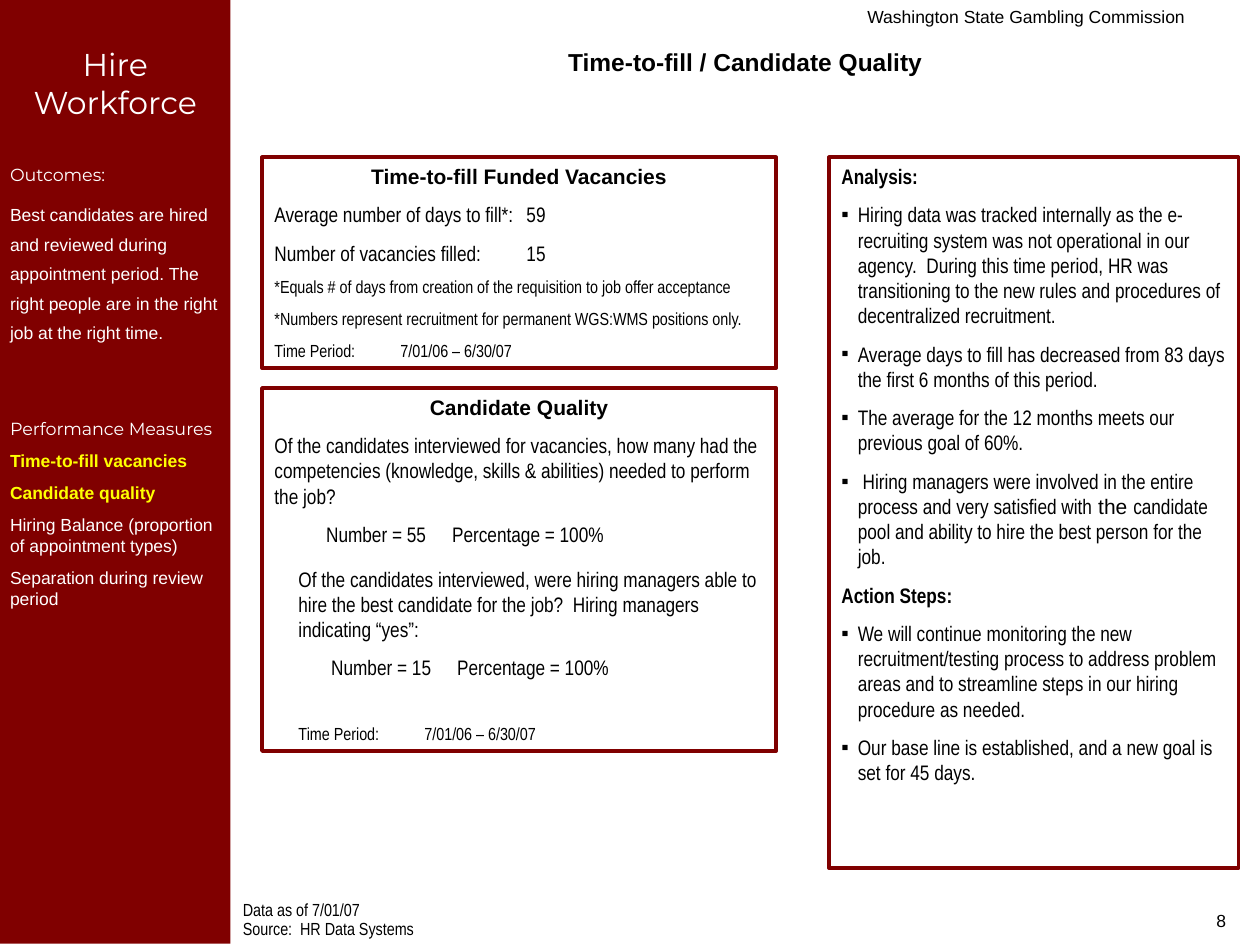
from lxml import etree
from pptx import Presentation
from pptx.dml.color import RGBColor
from pptx.enum.shapes import MSO_SHAPE as SHAPE
from pptx.enum.text import MSO_ANCHOR as ANCHOR, MSO_AUTO_SIZE as AUTO_SIZE, PP_ALIGN as ALIGN
from pptx.oxml.ns import qn
from pptx.util import Inches, Pt

MAROON = RGBColor(0x80, 0x00, 0x00)
YELLOW = RGBColor(0xFF, 0xFF, 0x00)
WHITE = RGBColor(0xFF, 0xFF, 0xFF)
BLACK = RGBColor(0x00, 0x00, 0x00)

# Text styles
HEADING = dict(font="Arial", bold=True, align=ALIGN.CENTER)
BODY = dict(font="Arial Narrow", before=7.5)
NOTE = dict(font="Arial Narrow", size=10, before=6.2)
BULLET = BODY | dict(bullet="▪", margin=0.13, hanging=0.13)
SUBHEAD = BODY | dict(bold=True)
SMALL = dict(font="Arial", size=10)
SIDE = SMALL | dict(color=WHITE, before=6.2)
SIDE_HEAD = SIDE | dict(font="Montserrat")
CURRENT = SIDE | dict(color=YELLOW, bold=True)


def add_marks(paragraph, bullet, tab):
    """Add the bullet and the tab stop, in schema order."""
    properties = paragraph._p.get_or_add_pPr()
    if bullet:
        bullet_color = etree.SubElement(properties, qn("a:buClr"))
        etree.SubElement(bullet_color, qn("a:srgbClr"), val=str(BLACK))
        etree.SubElement(properties, qn("a:buFont"), typeface="Arial")
        etree.SubElement(properties, qn("a:buChar"), char=bullet)
    if tab:
        position, side = tab
        stops = etree.SubElement(properties, qn("a:tabLst"))
        etree.SubElement(stops, qn("a:tab"), pos=str(Inches(position)), algn=side)


def write_paragraph(paragraph, text, font="Arial", size=12, color=BLACK, bold=False,
                    align=ALIGN.LEFT, before=0, spacing=None, margin=0, hanging=0,
                    bullet=None, tab=None):
    """Text is one string, or a list of (string, font name) pieces."""
    add_marks(paragraph, bullet, tab)
    properties = paragraph._p.get_or_add_pPr()
    properties.set("marL", str(Inches(margin)))
    properties.set("indent", str(Inches(-hanging)))
    layout = dict(alignment=align, space_before=Pt(before), line_spacing=spacing)
    for name, value in layout.items():
        setattr(paragraph, name, value)
    pieces = [(text, font)] if isinstance(text, str) else text
    for words, typeface in pieces:
        run = paragraph.add_run()
        run.text = words
        for name, value in dict(name=typeface, size=Pt(size), bold=bold).items():
            setattr(run.font, name, value)
        run.font.color.rgb = color


def write_text(shape, lines, side=0.1, top=0.05):
    frame = shape.text_frame
    settings = dict(word_wrap=True, auto_size=AUTO_SIZE.NONE, vertical_anchor=ANCHOR.TOP,
                    margin_left=Inches(side), margin_right=Inches(side),
                    margin_top=Inches(top), margin_bottom=Inches(0.05))
    for name, value in settings.items():
        setattr(frame, name, value)
    for index, (text, style) in enumerate(lines):
        paragraph = frame.add_paragraph() if index else frame.paragraphs[0]
        write_paragraph(paragraph, text, **(style if index else style | dict(before=0)))


def add_label(slide, box, lines):
    write_text(slide.shapes.add_textbox(*map(Inches, box)), lines)


def add_panel(slide, box, lines):
    """White panel with a maroon frame."""
    panel = slide.shapes.add_shape(SHAPE.RECTANGLE, *map(Inches, box))
    panel.shadow.inherit = False
    panel.fill.background()
    panel.line.color.rgb = MAROON
    panel.line.width = Pt(2.25)
    write_text(panel, lines)


def add_sidebar(slide, box):
    sidebar = slide.shapes.add_shape(SHAPE.RECTANGLE, *map(Inches, box))
    sidebar.shadow.inherit = False
    sidebar.fill.solid()
    sidebar.fill.fore_color.rgb = MAROON
    sidebar.line.fill.background()
    write_text(sidebar, [
        ("Hire Workforce", SIDE_HEAD | dict(size=18, align=ALIGN.CENTER)),
        ("Outcomes:", SIDE_HEAD | dict(before=24.6)),
        ("Best candidates are hired and reviewed during appointment period. "
         "The right people are in the right job at the right time.", SIDE | dict(spacing=1.4)),
        ("Performance Measures", SIDE_HEAD | dict(before=43)),
        ("Time-to-fill vacancies", CURRENT),
        ("Candidate quality", CURRENT),
        ("Hiring Balance (proportion of appointment types)", SIDE),
        ("Separation during review period", SIDE),
    ], side=0.08, top=0.36)


def add_title(slide, box):
    title = slide.shapes.title
    for name, value in zip(("left", "top", "width", "height"), box):
        setattr(title, name, Inches(value))
    write_text(title, [("Time-to-fill / Candidate Quality", HEADING | dict(size=14))])


def add_time_to_fill(slide, box):
    figure = BODY | dict(tab=(3.38, "r"))
    add_panel(slide, box, [
        ("Time-to-fill Funded Vacancies", HEADING),
        ("Average number of days to fill*:\t59", figure),
        ("Number of vacancies filled:\t15", figure),
        ("*Equals # of days from creation of the requisition to job offer acceptance", NOTE),
        ("*Numbers represent recruitment for permanent WGS:WMS positions only.", NOTE),
        ("Time Period:\t7/01/06 – 6/30/07", NOTE | dict(tab=(0.73, "l"))),
    ])


def add_candidate_quality(slide, box):
    add_panel(slide, box, [
        ("Candidate Quality", HEADING),
        ("Of the candidates interviewed for vacancies, how many had the competencies "
         "(knowledge, skills & abilities) needed to perform the job?", BODY),
        ("Number = 55\tPercentage = 100%", BODY | dict(margin=0.41, tab=(1.32, "l"))),
        ("Of the candidates interviewed, were hiring managers able to hire the best "
         "candidate for the job?  Hiring managers indicating “yes”:",
         BODY | dict(margin=0.19, before=11.2)),
        ("Number = 15\tPercentage = 100%", BODY | dict(margin=0.45, tab=(1.4, "l"))),
        ("Time Period:\t7/01/06 – 6/30/07",
         NOTE | dict(margin=0.19, before=24.4, tab=(0.92, "l"))),
    ])


def add_analysis(slide, box):
    add_panel(slide, box, [
        ("Analysis:", SUBHEAD),
        ("Hiring data was tracked internally as the e-recruiting system was not operational "
         "in our agency.  During this time period, HR was transitioning to the new rules and "
         "procedures of decentralized recruitment.", BULLET),
        ("Average days to fill has decreased from 83 days the first 6 months of this period.",
         BULLET),
        ("The average for the 12 months meets our previous goal of 60%.", BULLET),
        ([(" Hiring managers were involved in the entire process and very satisfied with",
           "Arial Narrow"),
          (" the ", "Arial"),
          ("candidate pool and ability to hire the best person for the job.", "Arial Narrow")],
         BULLET),
        ("Action Steps:", SUBHEAD),
        ("We will continue monitoring the new recruitment/testing process to address problem "
         "areas and to streamline steps in our hiring procedure as needed.", BULLET),
        ("Our base line is established, and a new goal is set for 45 days.", BULLET),
    ])


def add_margins(slide):
    """Agency name, data source and page number."""
    source = NOTE | dict(spacing=0.7, before=2.5)
    right = SMALL | dict(align=ALIGN.RIGHT)
    add_label(slide, (4.5, 0, 5, 0.25), [("Washington State Gambling Commission", right)])
    add_label(slide, (1.83, 7.13, 4.83, 0.37),
              [("Data as of 7/01/07", source), ("Source:  HR Data Systems", source)])
    add_label(slide, (7.5, 7.17, 2.33, 0.33), [("8", right)])


def main():
    deck = Presentation()
    deck.slide_width, deck.slide_height = Inches(10), Inches(7.5)
    slide = deck.slides.add_slide(deck.slide_layouts[5])
    add_sidebar(slide, (0, 0, 1.83, 7.49))
    add_title(slide, (1.83, 0.32, 8.17, 0.34))
    add_time_to_fill(slide, (2.08, 1.25, 4.08, 1.67))
    add_candidate_quality(slide, (2.08, 3.08, 4.08, 2.88))
    add_analysis(slide, (6.58, 1.25, 3.25, 5.64))
    add_margins(slide)
    deck.save("out.pptx")


if __name__ == "__main__":
    main()
